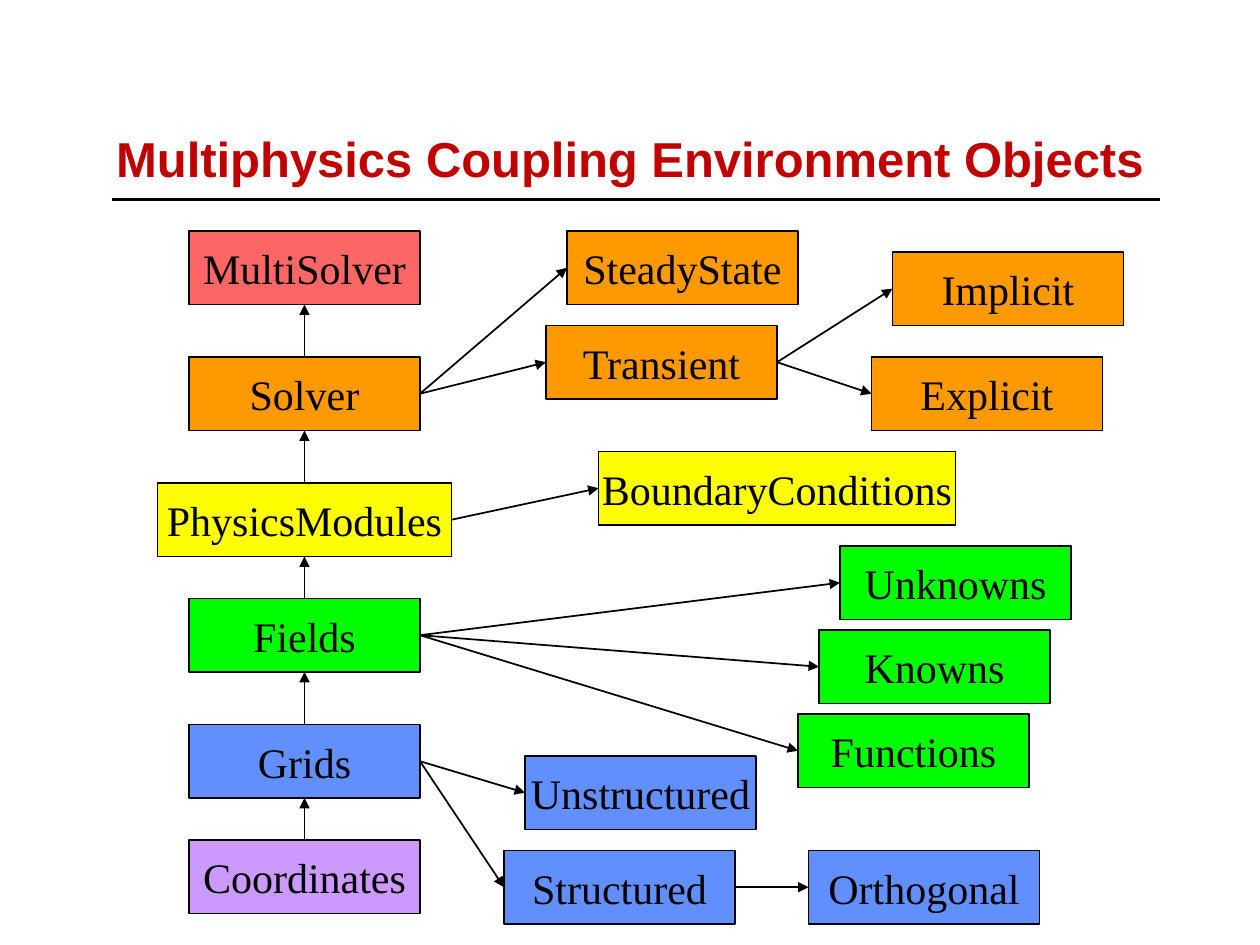
from dataclasses import dataclass

from lxml import etree
from pptx import Presentation
from pptx import util as u
from pptx.dml.color import RGBColor
from pptx.enum import shapes, text
from pptx.oxml.ns import qn


@dataclass(frozen=True)
class Theme:
    title_font: str = "Arial"
    title_size: int = 28
    title_color: str = "C00100"
    node_font: str = "Times New Roman"
    node_size: int = 24
    ink: str = "000000"
    red: str = "FF6666"
    orange: str = "FF9900"
    yellow: str = "FFFF00"
    green: str = "00FF00"
    blue: str = "618FFD"
    violet: str = "CC99FF"
    rule_width: int = 2
    line_width: int = 1


THEME = Theme()
SCALE = 9525
NODE_WIDTH, NODE_HEIGHT = 176, 56
TOP, LEFT, BOTTOM, RIGHT = range(4)


def px(*lengths):
    return [u.Emu(length * SCALE) for length in lengths]


def color(value):
    return RGBColor.from_string(value)


def write(frame, words, font, size, ink, bold=False):
    frame.vertical_anchor = text.MSO_ANCHOR.MIDDLE
    para = frame.paragraphs[0]
    para.alignment = text.PP_ALIGN.CENTER
    span = para.add_run()
    span.text = words
    span.font.name = font
    span.font.size = u.Pt(size)
    span.font.bold = bold
    span.font.color.rgb = color(ink)


def add_line(page, ends, width):
    line = page.shapes.add_connector(shapes.MSO_CONNECTOR.STRAIGHT, *px(*ends))
    line.line.color.rgb = color(THEME.ink)
    line.line.width = u.Pt(width)
    etree.SubElement(line._element.spPr, qn("a:effectLst"))
    return line


def add_arrow(page, start, start_side, end, end_side):
    arrow = add_line(page, (0, 0, 0, 0), THEME.line_width)
    arrow.begin_connect(start, start_side)
    arrow.end_connect(end, end_side)
    outline = arrow.line._get_or_add_ln()
    etree.SubElement(outline, qn("a:tailEnd"), type="triangle")


def add_node(page, name, left, top, fill, width=NODE_WIDTH):
    node = page.shapes.add_shape(
        shapes.MSO_SHAPE.RECTANGLE, *px(left, top, width, NODE_HEIGHT))
    node.shadow.inherit = False
    node.fill.solid()
    node.fill.fore_color.rgb = color(fill)
    node.line.color.rgb = color(THEME.ink)
    node.line.width = u.Pt(THEME.line_width)
    node.text_frame.word_wrap = False
    write(node.text_frame, name, THEME.node_font, THEME.node_size, THEME.ink)
    return node


def add_title(page, left, top, width, height):
    box = page.shapes.add_textbox(*px(left, top, width, height))
    box.text_frame.word_wrap = True
    write(box.text_frame, "Multiphysics Coupling Environment Objects",
          THEME.title_font, THEME.title_size, THEME.title_color, bold=True)
    rule_top = top + height - 32
    add_line(page, (left + 13, rule_top, left + width - 4, rule_top),
             THEME.rule_width)


def add_spine(page, left, top, width):
    levels = [
        ("MultiSolver", 0, THEME.red, NODE_WIDTH),
        ("Solver", 96, THEME.orange, NODE_WIDTH),
        ("PhysicsModules", 192, THEME.yellow, width),
        ("Fields", 280, THEME.green, NODE_WIDTH),
        ("Grids", 376, THEME.blue, NODE_WIDTH),
        ("Coordinates", 464, THEME.violet, NODE_WIDTH),
    ]
    nodes = {
        name: add_node(page, name, left + (width - size) // 2, top + down,
                       fill, size)
        for name, down, fill, size in levels
    }
    stack = list(nodes.values())
    for upper, lower in zip(stack, stack[1:]):
        add_arrow(page, lower, TOP, upper, BOTTOM)
    return nodes


def add_branch(page, left, top, root, fill, members, width=NODE_WIDTH):
    nodes = {}
    for name, across, down, parent in members:
        nodes[name] = add_node(page, name, left + across, top + down, fill, width)
        add_arrow(page, nodes.get(parent, root), RIGHT, nodes[name], LEFT)


def main():
    deck = Presentation()
    deck.slide_width, deck.slide_height = px(960, 720)
    page = deck.slides.add_slide(deck.slide_layouts[6])
    add_title(page, 72, 56, 816, 128)
    spine = add_spine(page, 120, 176, 224)
    add_branch(page, 416, 176, spine["Solver"], THEME.orange, [
        ("SteadyState", 16, 0, None),
        ("Transient", 0, 72, None),
        ("Implicit", 264, 16, "Transient"),
        ("Explicit", 248, 96, "Transient"),
    ])
    add_branch(page, 456, 344, spine["PhysicsModules"], THEME.yellow,
               [("BoundaryConditions", 0, 0, None)], width=272)
    add_branch(page, 608, 416, spine["Fields"], THEME.green, [
        (name, 32 - 16 * step, 64 * step, None)
        for step, name in enumerate(("Unknowns", "Knowns", "Functions"))
    ])
    add_branch(page, 384, 576, spine["Grids"], THEME.blue, [
        ("Unstructured", 16, 0, None),
        ("Structured", 0, 72, None),
        ("Orthogonal", 232, 72, "Structured"),
    ])
    deck.save("out.pptx")


if __name__ == "__main__":
    main()
